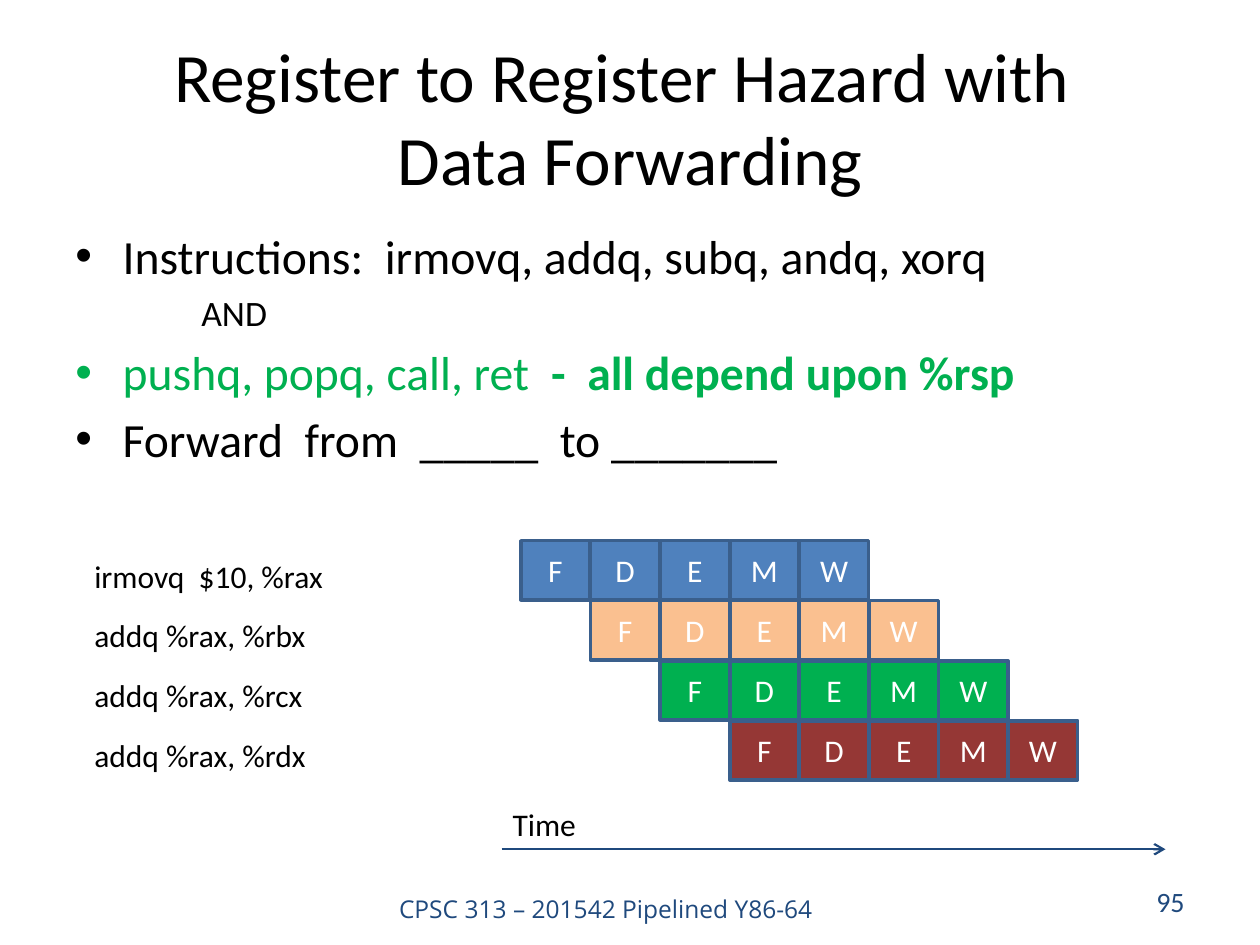
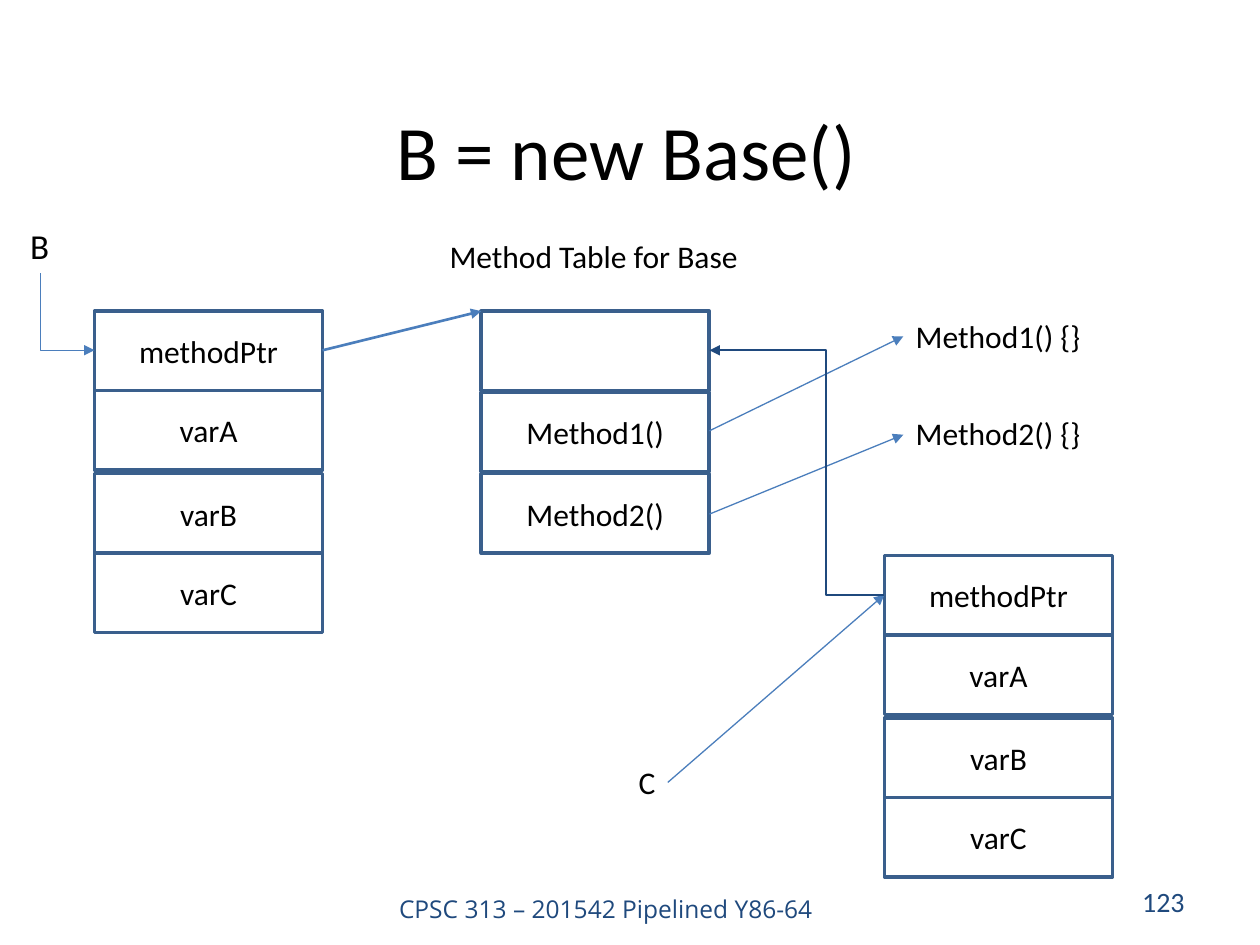
"""Build two slides on pipeline forwarding and method tables."""
from lxml.etree import SubElement
from pptx import Presentation
from pptx.dml.color import RGBColor
from pptx.enum.shapes import MSO_CONNECTOR, MSO_SHAPE
from pptx.enum.text import MSO_ANCHOR, PP_ALIGN
from pptx.oxml.ns import qn
from pptx.util import Pt

COLORS = {
    "black": "000000", "white": "FFFFFF", "navy": "1F497D", "border": "3A5F8C",
    "arrow": "4B7EBC", "blue": "4F81BD", "peach": "FAC090", "green": "00B050",
    "maroon": "953735",
}
STYLES = {
    "title": {"size": Pt(44), "name": "Calibri"},
    "long title": {"size": Pt(39.6), "name": "Calibri"},
    "body": {"size": Pt(27.2), "name": "Calibri"},
    "strong": {"size": Pt(27.2), "name": "Calibri", "bold": True},
    "sub": {"size": Pt(20.4), "name": "Calibri"},
    "label": {"size": Pt(18), "name": "Calibri"},
    "pointer": {"size": Pt(20), "name": "Calibri"},
    "number": {"size": Pt(16), "name": "Calibri"},
    "footer": {"size": Pt(14), "name": "Open Sans"},
}
FOOTER = "CPSC 313 – 201542 Pipelined Y86-64"

BULLETS = [
    (True, [("Instructions:  irmovq, addq, subq, andq, xorq", "body", "black")]),
    (False, [("AND", "sub", "black")]),
    (True, [("pushq, popq, call, ret  ", "body", "green"),
            ("-  all depend upon %rsp", "strong", "green")]),
    (True, [("Forward  from  _____  to _______", "body", "black")]),
]
STAGES = "FDEMW"
PIPELINE = [
    ("irmovq  $10, %rax", "blue"),
    ("addq %rax, %rbx", "peach"),
    ("addq %rax, %rcx", "green"),
    ("addq %rax, %rdx", "maroon"),
]
STAGE_LEFT, STAGE_TOP, STAGE_DX, STAGE_DY = 297.6, 309, 39.8, 34.3
STAGE_SIZE = (39.6, 33.8)

OBJECT_ROWS = [("methodPtr", 0), ("varA", 45.4), ("varB", 92.9), ("varC", 138.2)]
METHOD_ROWS = [("", 0), ("Method1()", 46.4), ("Method2()", 92.9)]
STACKS = [(54, 177.8, OBJECT_ROWS), (275, 177.8, METHOD_ROWS), (505.4, 317.5, OBJECT_ROWS)]
CELL_SIZE = (130.3, 45.4)
LABELS = [
    ("Method1() {}", "label", (516.2, 177.8, 112, 29)),
    ("Method2() {}", "label", (516.2, 233.3, 112, 29)),
    ("B", "pointer", (10.1, 124.6, 26, 31.5)),
    ("Method Table for Base", "label", (249.8, 131.8, 184, 29)),
    ("C", "label", (357.8, 432.7, 26, 29)),
]
ARROWS = [
    ((184.3, 200.2, 275, 177.8), 1.5),
    ((405.4, 246.2, 516.2, 192.2), 0.75),
    ((405.4, 293.8, 516.2, 248.4), 0.75),
    ((381.6, 447.1, 505.4, 339.8), 0.75),
]


def write(p, text, style, color):
    """Add one formatted run to a paragraph."""
    r = p.add_run()
    r.text = text
    for key, value in STYLES[style].items():
        setattr(r.font, key, value)
    r.font.color.rgb = RGBColor.from_string(COLORS[color])


def add_text(s, text, style, box, color="black", align=PP_ALIGN.LEFT, anchor=MSO_ANCHOR.TOP):
    """Add a text box whose line breaks follow the text."""
    tf = s.shapes.add_textbox(*map(Pt, box)).text_frame
    tf.word_wrap, tf.vertical_anchor = True, anchor
    p = tf.paragraphs[0]
    p.alignment = align
    for i, line in enumerate(text.split("\n")):
        if i:
            p.add_line_break()
        write(p, line, style, color)


def add_cell(s, text, x, y, size, color, fill=None):
    """Add a bordered rectangle with a centred label."""
    sp = s.shapes.add_shape(MSO_SHAPE.RECTANGLE, *map(Pt, (x, y, *size)))
    sp.shadow.inherit = False
    if fill:
        sp.fill.solid()
        sp.fill.fore_color.rgb = RGBColor.from_string(COLORS[fill])
    else:
        sp.fill.background()
    sp.line.color.rgb = RGBColor.from_string(COLORS["border"])
    sp.line.width = Pt(2)
    tf = sp.text_frame
    tf.vertical_anchor = MSO_ANCHOR.MIDDLE
    tf.paragraphs[0].alignment = PP_ALIGN.CENTER
    if text:
        write(tf.paragraphs[0], text, "label", color)


def add_arrow(s, ends, width, color="arrow", head="triangle", kind=MSO_CONNECTOR.STRAIGHT):
    """Add a connector with an arrowhead at its end."""
    c = s.shapes.add_connector(kind, *map(Pt, ends))
    c.line.color.rgb = RGBColor.from_string(COLORS[color])
    c.line.width = Pt(width)
    SubElement(c.line._get_or_add_ln(), qn("a:tailEnd"), type=head)
    SubElement(c._element.spPr, qn("a:effectLst"))
    return c


def add_elbow(s, box, width, color, preset, turn, adjust=None):
    """Add a bent arrow in an unrotated box, then turn it."""
    x, y, w, h = box
    c = add_arrow(s, (x, y, x + w, y + h), width, color, kind=MSO_CONNECTOR.ELBOW)
    for key, value in turn.items():
        c._element.spPr.find(qn("a:xfrm")).set(key, value)
    geom = c._element.spPr.find(qn("a:prstGeom"))
    geom.set("prst", preset)
    if adjust:
        SubElement(geom.find(qn("a:avLst")), qn("a:gd"), name="adj1", fmla=f"val {adjust}")


def add_slide(prs, title, style, left, top, number):
    """Add a blank slide with title, footer and slide number."""
    s = prs.slides.add_slide(prs.slide_layouts[6])
    center, middle = PP_ALIGN.CENTER, MSO_ANCHOR.MIDDLE
    add_text(s, FOOTER, "footer", (206.6, 507.6, 279.4, 21.6), "navy", center)
    add_text(s, title, style, (left, top, 648, 90), "black", center, middle)
    add_text(s, number, "number", (516, 500.4, 168, 28.8), "navy", PP_ALIGN.RIGHT, middle)
    return s


def add_bullets(s):
    """Add the body list with hanging bullets."""
    tf = s.shapes.add_textbox(*map(Pt, (36, 126, 648, 132.5))).text_frame
    tf.word_wrap = True
    for i, (bulleted, runs) in enumerate(BULLETS):
        p = tf.add_paragraph() if i else tf.paragraphs[0]
        pPr = p._p.get_or_add_pPr()
        pPr.set("marL", str(Pt(27 if bulleted else 72)))
        pPr.set("indent", str(Pt(-27 if bulleted else 0)))
        if bulleted:
            SubElement(pPr, qn("a:buFont"), typeface="Arial")
            SubElement(pPr, qn("a:buChar"), char="•")
        else:
            SubElement(pPr, qn("a:buNone"))
        if i:
            p.space_before = Pt(5.4 if bulleted else 4.1)
        for run in runs:
            write(p, *run)


def build_hazard(prs):
    """Build the pipeline hazard slide."""
    s = add_slide(prs, "Register to Register Hazard with \nData Forwarding",
                  "long title", 36, 21.6, "95")
    add_bullets(s)
    for row, (code, fill) in enumerate(PIPELINE):
        for col, stage in enumerate(STAGES):
            add_cell(s, stage, STAGE_LEFT + (row + col) * STAGE_DX,
                     STAGE_TOP + row * STAGE_DY, STAGE_SIZE, "white", fill)
        add_text(s, code, "label", (46.8, 314.6 + row * 34.1, 152, 29))
    add_arrow(s, (286.6, 485.3, 666, 485.3), 1.25, "navy", "arrow")
    add_text(s, "Time", "label", (285.8, 456.5, 54, 29))


def build_objects(prs):
    """Build the object layout slide."""
    s = add_slide(prs, "B = new Base()", "title", 33.8, 40.3, "123")
    for x, y, rows in STACKS:
        for text, dy in rows:
            add_cell(s, text, x, y + dy, CELL_SIZE, "black")
    for text, style, box in LABELS:
        add_text(s, text, style, box)
    for ends, width in ARROWS:
        add_arrow(s, ends, width)
    add_elbow(s, (16.6, 162.7, 43.9, 31), 0.75, "arrow", "bentConnector2",
              {"rot": "16200000", "flipH": "1"})
    add_elbow(s, (405.4, 200.2, 100, 139.6), 1.25, "navy", "bentConnector3",
              {"rot": "10800000"}, 33400)


def main():
    """Build and save the presentation."""
    prs = Presentation()
    prs.slide_width, prs.slide_height = Pt(720), Pt(540)
    build_hazard(prs)
    build_objects(prs)
    prs.save("out.pptx")


if __name__ == "__main__":
    main()
